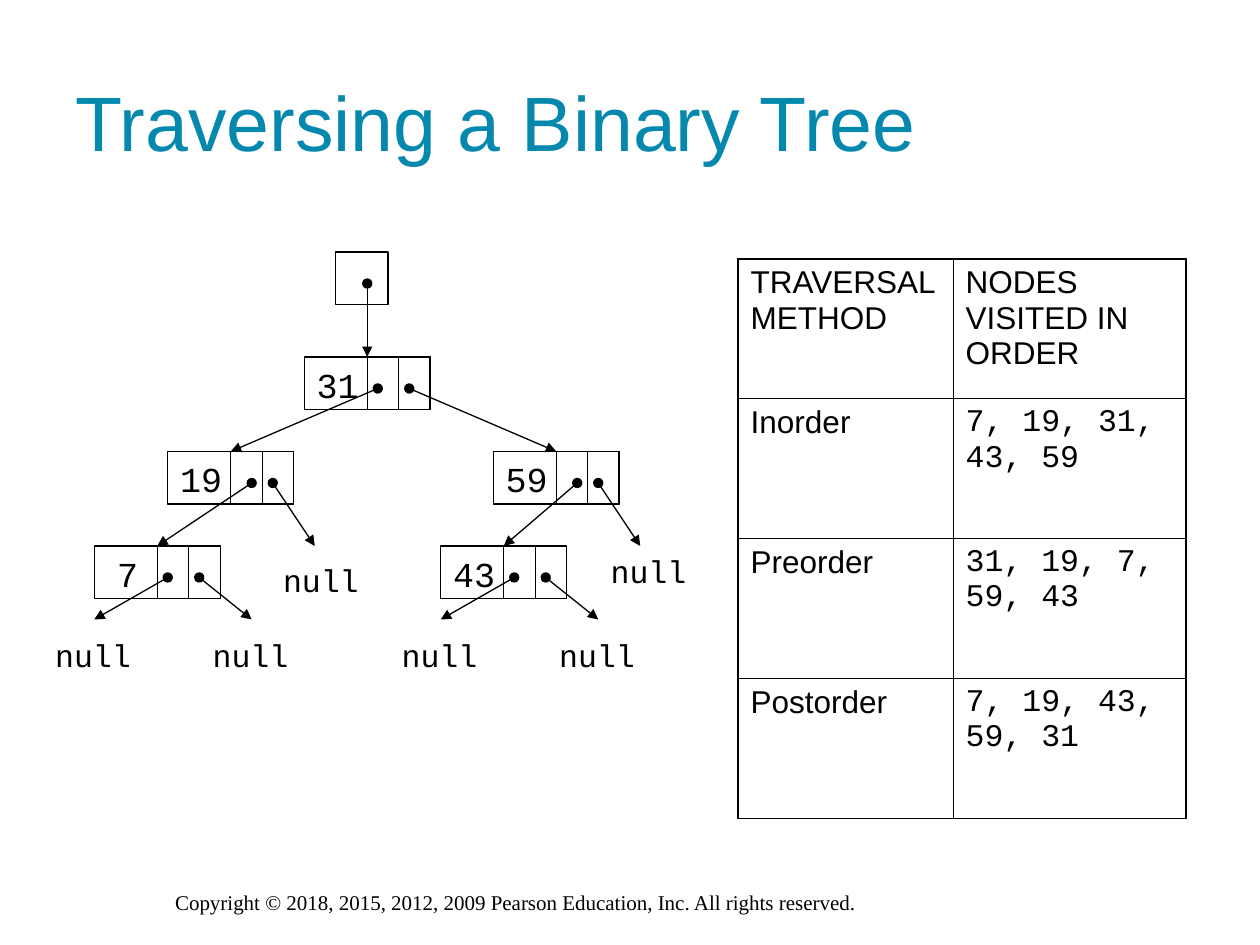
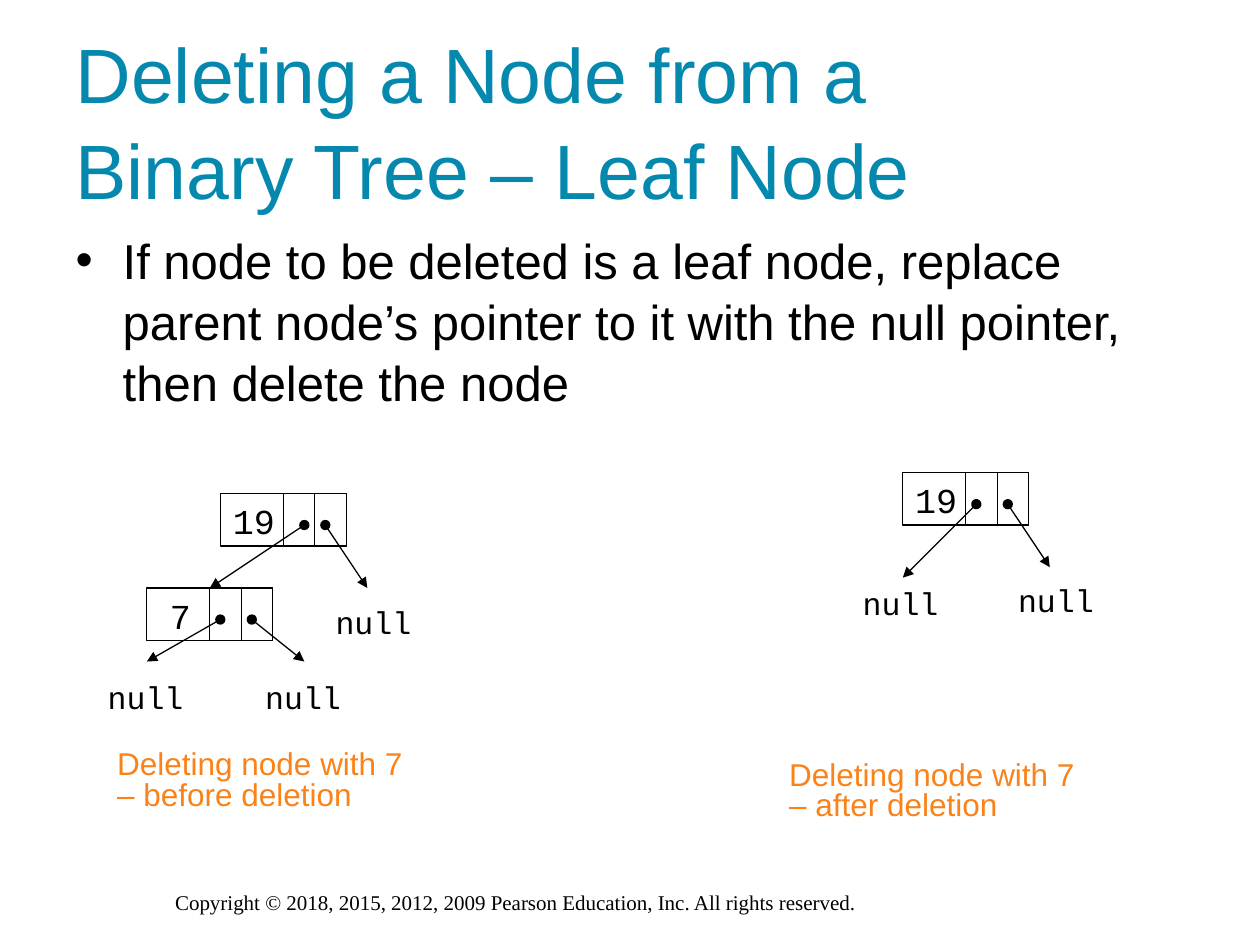
import pptx
import pptx.util
import pptx.dml.color
import pptx.enum.shapes
import pptx.enum.text
import pptx.oxml.ns
from lxml import etree

Cm, Pt = pptx.util.Cm, pptx.util.Pt
STEP = 2.54 / 12  # grid step of the tree drawings, in cm
BLACK, TEAL, ORANGE = "000000", "0488AE", "FA8218"
SANS, MONO, SERIF = "Arial", "Courier New", "Times New Roman"
RIGHT = (10, 3)  # where a right pointer starts inside its node
COPY = ("Copyright © 2018, 2015, 2012, 2009 Pearson Education, Inc. "
        "All rights reserved.")

# Each node: pointer starts and ends, then null labels, from its top left
LEAF = dict(left=((7, 3), (0, 7)), right=(15, 7), nulls=[(-4.9, 8), (10.1, 8)])
INNER = dict(left=((8, 3), (-1, 9)), right=(14, 9), nulls=[(9.8, 9.8)])
TREE = [
    (20, 10, "31", dict(left=((7, 3), (-7, 9)), right=(24, 9), nulls=[])),
    (7, 19, "19", INNER),
    (38, 19, "59", dict(left=((8, 3), (1, 9)), right=(14, 9), nulls=[(10, 9)])),
    (0, 28, "7", LEAF),
    (33, 28, "43", LEAF),
]
BEFORE = [(7, 0, "19", INNER), (0, 9, "7", LEAF)]
AFTER = [(0, 0, "19", dict(left=((7, 3), (0, 10)), right=(14, 9),
                           nulls=[(9.8, 9.7), (-5, 10)]))]
ROWS = [
    ("TRAVERSAL METHOD", "NODES VISITED IN ORDER"),
    ("Inorder", "7, 19, 31, 43, 59"),
    ("Preorder", "31, 19, 7, 59, 43"),
    ("Postorder", "7, 19, 43, 59, 31"),
]


def color(code):
    return pptx.dml.color.RGBColor.from_string(code)


def sub(parent, tag, **attrs):
    return etree.SubElement(parent, pptx.oxml.ns.qn(tag), attrs)


def write(para, text, size, face=SANS, code=BLACK):
    run = para.add_run()
    run.text = text
    run.font.size, run.font.name = Pt(size), face
    run.font.color.rgb = color(code)


def place(shape, left, top, width, height):
    shape.left, shape.top = Cm(left), Cm(top)
    shape.width, shape.height = Cm(width), Cm(height)


def label(shapes, box, text, size, face=MONO, code=BLACK, wrap=False):
    item = shapes.add_textbox(*map(Cm, box))
    item.text_frame.word_wrap = wrap
    write(item.text_frame.paragraphs[0], text, size, face, code)
    return item


# Shared parts
def footer(deck, slide):
    note = label(slide.shapes, (3.28, 17.81, 18.85, 0.76), COPY, 12, SERIF,
                 wrap=True)
    note.element.nvSpPr.cNvPr.set("id", "99")
    deck.slide_master.shapes.element.append(note.element)


def title(slide, *lines):
    head = slide.shapes.title
    place(head, 1.27, 0.8, 22.86, 3.18)
    frame = head.text_frame
    frame.auto_size = pptx.enum.text.MSO_AUTO_SIZE.NONE
    frame.vertical_anchor = pptx.enum.text.MSO_ANCHOR.MIDDLE
    para = frame.paragraphs[0]
    para.alignment = pptx.enum.text.PP_ALIGN.LEFT
    para.line_spacing = 1.04
    for i, line in enumerate(lines):
        if i:
            para.add_line_break()
        write(para, line, 44, SANS, TEAL)


def bullet(slide, text):
    body = slide.placeholders[1]
    place(body, 1.27, 4.47, 23.06, 4.45)
    body.text_frame.auto_size = pptx.enum.text.MSO_AUTO_SIZE.NONE
    para = body.text_frame.paragraphs[0]
    para.line_spacing, para.space_before = 1.04, Pt(0)
    props = para._p.get_or_add_pPr()
    props.set("marL", str(Cm(0.95)))
    props.set("indent", str(-Cm(0.95)))
    sub(sub(props, "a:buClr"), "a:srgbClr", val=BLACK)
    sub(props, "a:buFont", typeface=SANS)
    sub(props, "a:buChar", char="•")
    write(para, text, 28)


# Tree drawing
class Panel:
    """A group of tree parts placed in grid steps from a corner in cm."""

    def __init__(self, slide, left, top):
        self.shapes = slide.shapes.add_group_shape().shapes
        self.left, self.top = left, top

    def spot(self, x, y):
        return self.left + x * STEP, self.top + y * STEP

    def box(self, x, y, width, height):
        return (*self.spot(x, y), width * STEP, height * STEP)

    def cell(self, x, y, width):
        kind = pptx.enum.shapes.MSO_SHAPE.RECTANGLE
        rect = self.shapes.add_shape(kind, *map(Cm, self.box(x, y, width, 5)))
        rect.shadow.inherit = False
        rect.fill.background()
        rect.line.color.rgb, rect.line.width = color(BLACK), Pt(0.75)

    def arrow(self, start, end):
        kind = pptx.enum.shapes.MSO_CONNECTOR.STRAIGHT
        ends = self.spot(*start) + self.spot(*end)
        link = self.shapes.add_connector(kind, *map(Cm, ends))
        link.line.color.rgb, link.line.width = color(BLACK), Pt(0.75)
        edge = link.line._get_or_add_ln()
        sub(edge, "a:headEnd", type="oval")
        sub(edge, "a:tailEnd", type="triangle")
        sub(link.element.spPr, "a:effectLst")

    def node(self, x, y, key, left, right, nulls):
        for shift, width in ((0, 12), (9, 3), (6, 3)):
            self.cell(x + shift, y, width)
        for start, end in (left, (RIGHT, right)):
            self.arrow((x + start[0], y + start[1]), (x + end[0], y + end[1]))
        pad = 2 - len(key)
        label(self.shapes, self.box(x + pad, y, 6.4 - 2 * pad, 5.3), key, 20)
        for dx, dy in nulls:
            label(self.shapes, self.box(x + dx, y + dy, 9.6, 4.8), "null", 18)

    def tree(self, nodes):
        for x, y, key, links in nodes:
            self.node(x, y, key, **links)

    def caption(self, x, y, text):
        note = label(self.shapes, self.box(x, y, 31.2, 7), text, 18, SANS,
                     ORANGE, True)
        note.text_frame.paragraphs[0].line_spacing = 0.8


# Table of visiting orders
def edges(cell, row, col):
    outer = {"L": col == 0, "R": col == 1,
             "T": row == 0, "B": row == len(ROWS) - 1}
    props = cell._tc.get_or_add_tcPr()
    for side, thick in outer.items():
        edge = sub(props, "a:ln" + side, w=str(Pt(1.08 if thick else 0.45)))
        sub(sub(edge, "a:solidFill"), "a:srgbClr", val=BLACK)


def orders(slide, left, top, width, height):
    grid = slide.shapes.add_table(len(ROWS), 2, *map(
        Cm, (left, top, width, height))).table
    grid.first_row = grid.horz_banding = False
    grid.columns[0].width = Cm(width * 0.48)
    grid.columns[1].width = Cm(width * 0.52)
    for i, row in enumerate(ROWS):
        for j, text in enumerate(row):
            cell = grid.cell(i, j)
            edges(cell, i, j)
            cell.fill.background()
            face = MONO if i and j else SANS
            write(cell.text_frame.paragraphs[0], text, 18, face)


# Slides
def traverse(deck):
    slide = deck.slides.add_slide(deck.slide_layouts[5])
    footer(deck, slide)
    title(slide, "Traversing a Binary Tree")
    orders(slide, 14.88, 5.22, 9.03, 11.28)
    panel = Panel(slide, 1.9, 5.08)
    panel.cell(23, 0, 5)
    panel.arrow((26, 3), (26, 10))
    panel.tree(TREE)


def delete(deck):
    slide = deck.slides.add_slide(deck.slide_layouts[1])
    title(slide, "Deleting a Node from a ", "Binary Tree – Leaf Node")
    bullet(slide, "If node to be deleted is a leaf node, replace parent "
                  "node’s pointer to it with the null pointer, then delete "
                  "the node")
    old = Panel(slide, 2.96, 9.95)
    old.tree(BEFORE)
    old.caption(-4, 24, "Deleting node with 7 – before deletion")
    new = Panel(slide, 18.2, 9.53)
    new.tree(AFTER)
    new.caption(-12, 27, "Deleting node with 7 – after deletion")


def main():
    deck = pptx.Presentation()
    deck.slide_width, deck.slide_height = Cm(25.4), Cm(19.05)
    traverse(deck)
    delete(deck)
    deck.save("out.pptx")


if __name__ == "__main__":
    main()
